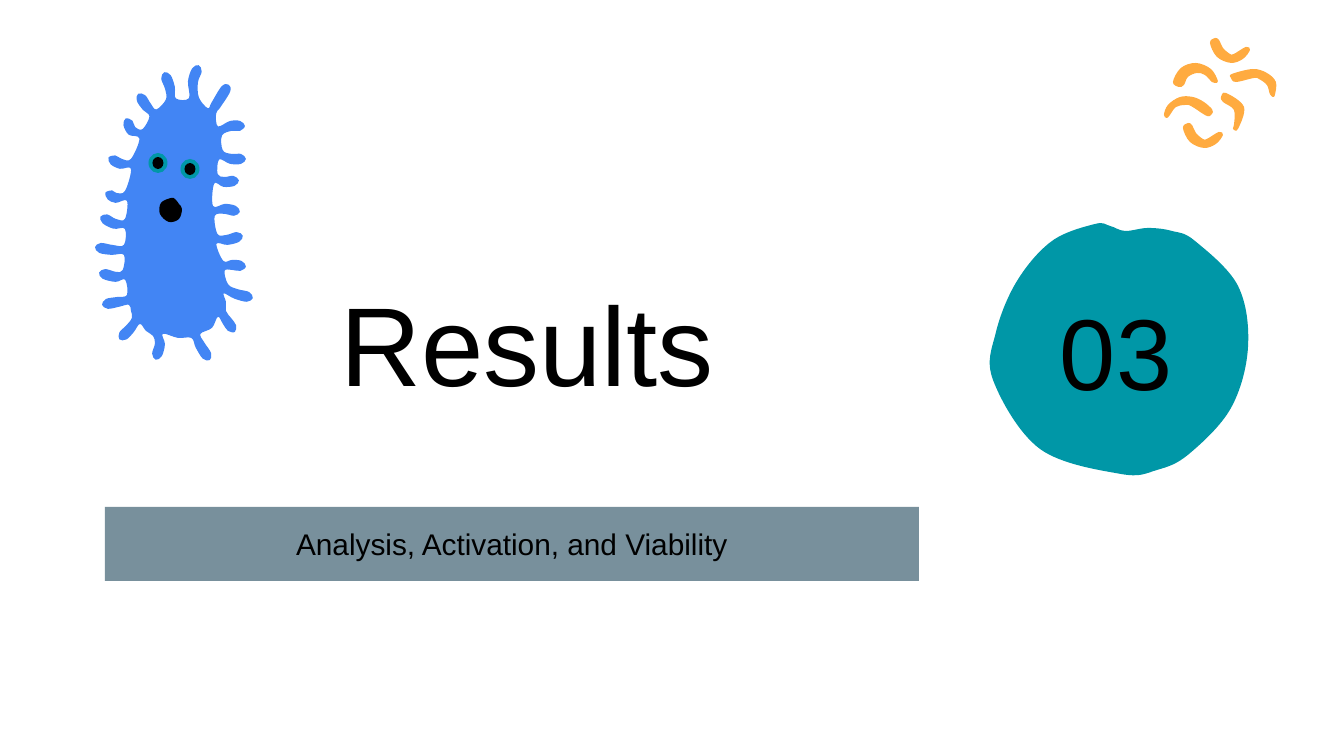
"""Build the Results section slide with a microbe, a number blob and text."""
import math

import lxml.etree
import pptx
import pptx.dml.color
import pptx.enum.shapes
import pptx.enum.text
import pptx.oxml.ns
import pptx.util

RGB = pptx.dml.color.RGBColor
BLUE = RGB(0x42, 0x85, 0xF4)
TEAL = RGB(0x00, 0x97, 0xA7)
ORANGE = RGB(0xFF, 0xAB, 0x40)
SLATE = RGB(0x78, 0x90, 0x9C)
BLACK = RGB(0, 0, 0)
UNIT = 914400 / 134.4
WIDE, HIGH = 1344, 756
INSET = 13
HALF = 5

TEXTS = [
    ("Results", (120, 222, 814, 239), 60, None),
    ("Analysis, Activation, and Viability", (105, 507, 814, 74), 16, SLATE),
    ("03", (884, 288, 464, 124), 54, None),
]
CURL = [(1215, 38), (1219, 40), (1223, 48), (1230, 54), (1234, 54), (1246, 47),
        (1250, 50), (1243, 59), (1231, 63), (1217, 57), (1210, 43)]
WORMS = [
    [(1226, 93), (1244, 107), (1238, 129), (1233, 129), (1234, 125),
     (1234, 110), (1223, 102), (1221, 97)],
    [(1253, 69), (1267, 73), (1276, 82), (1275, 95), (1273, 97), (1270, 94),
     (1267, 85), (1259, 79), (1254, 78), (1236, 82), (1231, 78), (1232, 74)],
    [(1196, 63), (1211, 69), (1218, 81), (1215, 83), (1212, 82), (1205, 75),
     (1197, 73), (1188, 77), (1184, 85), (1179, 87), (1173, 82), (1181, 68)],
    CURL,
    [(1193, 97), (1180, 97), (1168, 105), (1164, 115), (1167, 118),
     (1170, 115), (1176, 107), (1185, 105), (1191, 106), (1205, 115),
     (1210, 116), (1213, 112), (1212, 109), (1204, 102)],
    [(x - 27, y + 85) for x, y in CURL],
]
BLOB = [(1095, 224), (1052, 241), (1017, 281), (996, 332), (993, 380),
        (1040, 449), (1121, 474), (1157, 470), (1189, 454), (1231, 408),
        (1248, 347), (1238, 286), (1195, 241), (1172, 231), (1148, 228),
        (1125, 231), (1110, 226)]
MOUTH = [(171, 198), (175, 199), (179, 204), (182, 209), (179, 219),
         (169, 222), (160, 214), (161, 203)]
EYES = [(190, 169), (158, 163)]
RINGS = [(19, 20, TEAL), (11, 12, BLACK)]
BODY = [
    [(194, 98), (193, 82), (197, 70)],
    [(212, 111), (216, 105), (226, 89)],
    [(220, 131), (231, 126), (240, 126)],
    [(221, 155), (231, 159), (241, 159)],
    [(216, 179), (224, 182), (234, 181)],
    [(214, 211), (225, 209), (235, 211)],
    [(217, 239), (227, 240), (238, 237)],
    [(224, 266), (232, 265), (241, 266)],
    [(226, 289), (236, 294), (248, 297)],
    [(226, 302)],
    [(222, 314), (227, 321), (232, 328)],
    [(212, 328)],
    [(196, 336), (200, 345), (207, 356)],
    [(178, 338)],
    [(158, 335), (160, 344), (157, 355)],
    [(146, 331)],
    [(136, 321), (130, 329), (123, 336)],
    [(131, 311)],
    [(128, 300), (118, 302), (107, 304)],
    [(124, 275), (116, 277), (104, 274)],
    [(124, 250), (112, 250), (100, 248)],
    [(125, 224), (115, 224), (105, 219)],
    [(126, 196), (116, 198), (110, 195)],
    [(131, 164), (121, 164), (113, 160)],
    [(141, 134), (132, 131), (128, 123)],
    [(153, 113), (147, 107), (141, 98)],
    [(171, 99), (170, 88), (166, 77)],
]


def emu(px):
    return pptx.util.Emu(round(px * UNIT))


def sprout(line):
    if len(line) == 1:
        return line
    left, right = [], []
    for i, (x, y) in enumerate(line):
        (ax, ay), (bx, by) = line[max(i - 1, 0)], line[min(i + 1, len(line) - 1)]
        size = math.hypot(bx - ax, by - ay)
        dx, dy = HALF * (bx - ax) / size, HALF * (by - ay) / size
        left.append((x + dy, y - dx))
        right.append((x - dy, y + dx))
    return left + [(x + dx, y + dy)] + right[::-1]


def bend(shape, dots):
    qn = pptx.oxml.ns.qn
    for i, line in enumerate(list(shape._element.iter(qn("a:lnTo")))):
        a, b, c, d = [dots[(i + k) % len(dots)] for k in (-1, 0, 1, 2)]
        knots = [[q + (r - p) / 6 for p, q, r in zip(a, b, c)],
                 [r - (s - q) / 6 for q, r, s in zip(b, c, d)], c]
        curve = lxml.etree.Element(qn("a:cubicBezTo"))
        for x, y in knots:
            lxml.etree.SubElement(curve, qn("a:pt"), x=str(round(x - shape.left)),
                                  y=str(round(y - shape.top)))
        line.getparent().replace(line, curve)


def paint(shape, color):
    shape.shadow.inherit = False
    shape.fill.solid()
    shape.fill.fore_color.rgb = color
    shape.line.fill.background()


def outline(shapes, points, color):
    dots = [(emu(x), emu(y)) for x, y in points]
    pen = shapes.build_freeform(*dots[0], scale=1.0)
    pen.add_line_segments(dots[1:] + dots[:1], close=True)
    shape = pen.convert_to_shape()
    bend(shape, dots)
    paint(shape, color)


def oval(shapes, mid, wide, high, color):
    x, y = mid
    box = map(emu, (x - wide / 2, y - high / 2, wide, high))
    paint(shapes.add_shape(pptx.enum.shapes.MSO_SHAPE.OVAL, *box), color)


def write(shapes, text, box, size, color):
    place = [emu(px) for px in box]
    if color is None:
        shape = shapes.add_textbox(*place)
    else:
        shape = shapes.add_shape(pptx.enum.shapes.MSO_SHAPE.RECTANGLE, *place)
        paint(shape, color)
    frame = shape.text_frame
    look = {"word_wrap": True,
            "vertical_anchor": pptx.enum.text.MSO_ANCHOR.MIDDLE}
    look.update({f"margin_{side}": emu(INSET)
                 for side in ("left", "right", "top", "bottom")})
    for key, value in look.items():
        setattr(frame, key, value)
    para = frame.paragraphs[0]
    para.alignment = pptx.enum.text.PP_ALIGN.CENTER
    run = para.add_run()
    run.text = text
    for key, value in {"name": "Arial", "size": pptx.util.Pt(size)}.items():
        setattr(run.font, key, value)
    run.font.color.rgb = BLACK


def main():
    deck = pptx.Presentation()
    deck.slide_width, deck.slide_height = emu(WIDE), emu(HIGH)
    shapes = deck.slides.add_slide(deck.slide_layouts[6]).shapes
    for worm in WORMS:
        outline(shapes, worm, ORANGE)
    for item in TEXTS[:2]:
        write(shapes, *item)
    outline(shapes, [dot for line in BODY for dot in sprout(line)], BLUE)
    for eye in EYES:
        for ring in RINGS:
            oval(shapes, eye, *ring)
    outline(shapes, MOUTH, BLACK)
    outline(shapes, BLOB, TEAL)
    write(shapes, *TEXTS[2])
    deck.save("out.pptx")


if __name__ == "__main__":
    main()
